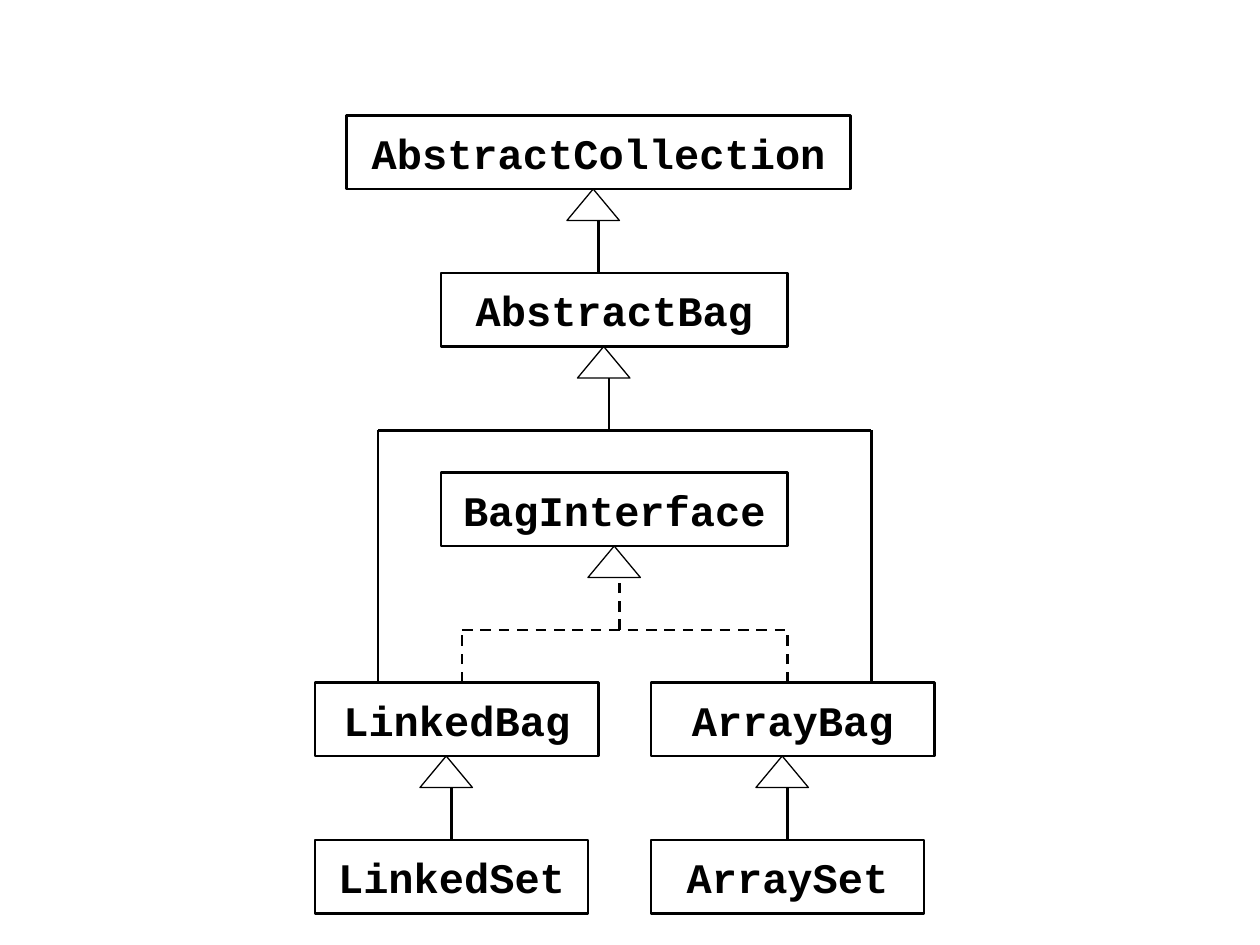
from dataclasses import dataclass

from lxml.etree import SubElement
from pptx import Presentation
from pptx.dml.color import RGBColor
from pptx.enum.dml import MSO_LINE
from pptx.enum.shapes import MSO_CONNECTOR as CONNECTOR, MSO_SHAPE as SHAPE
from pptx.enum.text import MSO_ANCHOR as ANCHOR, PP_ALIGN as ALIGN
from pptx.oxml.ns import qn
from pptx.util import Emu, Pt

PX = 914400 // 120
BOX_HEIGHT = 70
HEAD_WIDTH, HEAD_HEIGHT, HEAD_OFFSET = 50, 30, 30
STEM = 50


@dataclass(frozen=True)
class Theme:
    """Colours, type and line weights of the diagram."""
    ink: RGBColor = RGBColor(0, 0, 0)
    paper: RGBColor = RGBColor(255, 255, 255)
    font: str = "Courier New"
    size: Pt = Pt(24)
    line: Pt = Pt(1.5)
    thin: Pt = Pt(0.75)


THEME = Theme()


def px(value):
    """Turn whole pixels into EMU."""
    return Emu(value * PX)


def add_outline(slide, kind, left, top, width, height, weight):
    """Add a preset shape with a black outline and no shadow."""
    shape = slide.shapes.add_shape(kind, px(left), px(top), px(width), px(height))
    shape.shadow.inherit = False
    shape.line.color.rgb = THEME.ink
    shape.line.width = weight
    return shape


def add_class_box(slide, name, left, top, width):
    """Add a white box that holds a type name."""
    shape = add_outline(slide, SHAPE.RECTANGLE, left, top, width, BOX_HEIGHT, THEME.line)
    shape.fill.solid()
    shape.fill.fore_color.rgb = THEME.paper
    frame = shape.text_frame
    frame.word_wrap = False
    frame.vertical_anchor = ANCHOR.MIDDLE
    paragraph = frame.paragraphs[0]
    paragraph.alignment = ALIGN.CENTER
    run = paragraph.add_run()
    run.text = name
    run.font.name = THEME.font
    run.font.size = THEME.size
    run.font.bold = True
    run.font.color.rgb = THEME.ink
    return shape


def add_line(slide, start, end, dashed=False):
    """Add a straight line between two points."""
    connector = slide.shapes.add_connector(
        CONNECTOR.STRAIGHT, *(px(value) for value in (*start, *end)))
    connector.line.color.rgb = THEME.ink
    connector.line.width = THEME.line
    if dashed:
        connector.line.dash_style = MSO_LINE.DASH
    SubElement(connector._element.spPr, qn("a:effectLst"))
    return connector


def add_arrow(slide, x, top, dashed=False):
    """Add a hollow arrowhead with its stem, which starts at the lower end."""
    head = add_outline(slide, SHAPE.ISOSCELES_TRIANGLE, x - HEAD_OFFSET, top,
                       HEAD_WIDTH, HEAD_HEIGHT, THEME.thin)
    head.fill.background()
    neck = top + HEAD_HEIGHT
    return add_line(slide, (x, neck + STEM), (x, neck), dashed)


def add_branch(slide, x, top, left, right, bottom, dashed=False):
    """Add an arrow that is shared by two children."""
    add_arrow(slide, x, top, dashed)
    bar = top + HEAD_HEIGHT + STEM
    add_line(slide, (left, bar), (right, bar), dashed)
    for side in (left, right):
        add_line(slide, (side, bottom), (side, bar), dashed)


def main():
    """Build the class diagram."""
    presentation = Presentation()
    presentation.slide_width, presentation.slide_height = px(1200), px(900)
    slide = presentation.slides.add_slide(presentation.slide_layouts[6])

    collection_top, bag_top, interface_top, concrete_top, set_top = 110, 260, 450, 650, 800
    add_class_box(slide, "AbstractCollection", 330, collection_top, 480)
    add_class_box(slide, "AbstractBag", 420, bag_top, 330)
    add_class_box(slide, "BagInterface", 420, interface_top, 330)

    add_arrow(slide, 570, collection_top + BOX_HEIGHT)
    add_branch(slide, 580, bag_top + BOX_HEIGHT, 360, 830, concrete_top)
    add_branch(slide, 590, interface_top + BOX_HEIGHT, 440, 750, concrete_top, dashed=True)

    for prefix, left in (("Linked", 300), ("Array", 620)):
        add_class_box(slide, f"{prefix}Bag", left, concrete_top, 270)
        child = add_class_box(slide, f"{prefix}Set", left, set_top, 260)
        stem = add_arrow(slide, left + 130, concrete_top + BOX_HEIGHT)
        stem.begin_connect(child, 0)

    presentation.save("out.pptx")


if __name__ == "__main__":
    main()
